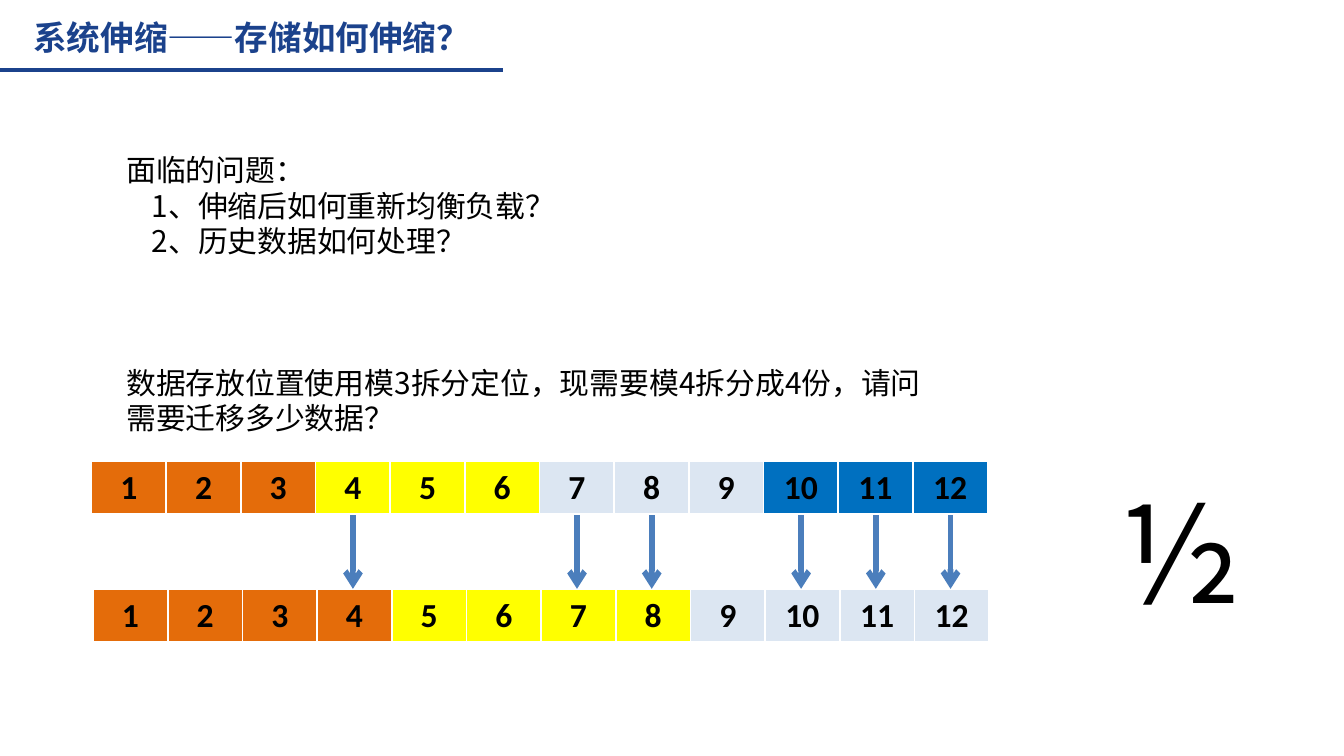
"""Build the slide on how storage scales when sharding moves from modulo 3 to modulo 4."""
import pptx
import pptx.dml.color
import pptx.enum.shapes
import pptx.enum.text
import pptx.oxml.ns
import pptx.util
from lxml import etree

Cm = pptx.util.Cm
Pt = pptx.util.Pt
RGBColor = pptx.dml.color.RGBColor
qn = pptx.oxml.ns.qn
PP_ALIGN = pptx.enum.text.PP_ALIGN
MSO_ANCHOR = pptx.enum.text.MSO_ANCHOR

NAVY = RGBColor(0x1B, 0x42, 0x8C)
BLACK = RGBColor(0x00, 0x00, 0x00)
WHITE = RGBColor(0xFF, 0xFF, 0xFF)
ARROW_BLUE = RGBColor(0x4B, 0x7E, 0xBC)
ORANGE = RGBColor(0xE4, 0x6C, 0x0A)
YELLOW = RGBColor(0xFF, 0xFF, 0x00)
PALE = RGBColor(0xDC, 0xE6, 0xF2)
BLUE = RGBColor(0x00, 0x70, 0xC0)

RECORDS = 12
ROW_LEFT, ROW_WIDTH, ROW_HEIGHT = 1.73, 16.94, 1.03
BEFORE_TOP, AFTER_TOP = 8.71, 11.13
MOVED_RECORDS = (4, 7, 8, 10, 11, 12)


class SlideBuilder:
    text_font = "Noto Sans CJK SC"
    cell_font = "Calibri"

    def __init__(self, slide):
        self.slide = slide

    def style(self, paragraph, font_name, size, color=BLACK, bold=False):
        font = paragraph.font
        font.name, font.size, font.bold = font_name, Pt(size), bold
        font.color.rgb = color
        properties = paragraph._p.pPr.find(qn("a:defRPr"))
        etree.SubElement(properties, qn("a:ea"), typeface=font_name)

    def text(self, left, top, width, height, lines, size, color=BLACK, bold=False,
             wrap=True, inset=None, align=None, anchor=MSO_ANCHOR.TOP, indent=0):
        box = self.slide.shapes.add_textbox(Cm(left), Cm(top), Cm(width), Cm(height))
        frame = box.text_frame
        frame.word_wrap = wrap
        frame.auto_size = pptx.enum.text.MSO_AUTO_SIZE.SHAPE_TO_FIT_TEXT
        frame.vertical_anchor = anchor
        if inset is not None:
            frame.margin_left = frame.margin_right = Cm(inset)
            frame.margin_top = frame.margin_bottom = Cm(inset)
        frame.text = "\n".join(lines)
        for number, paragraph in enumerate(frame.paragraphs):
            paragraph.alignment = align
            if indent and number:
                paragraph._p.get_or_add_pPr().set("marL", str(Cm(indent)))
            self.style(paragraph, self.text_font, size, color, bold)

    def line(self, start_x, start_y, end_x, end_y, color, width, arrow=False):
        connector = self.slide.shapes.add_connector(
            pptx.enum.shapes.MSO_CONNECTOR.STRAIGHT,
            Cm(start_x), Cm(start_y), Cm(end_x), Cm(end_y))
        connector.line.color.rgb = color
        connector.line.width = Pt(width)
        if arrow:
            etree.SubElement(connector.line._get_or_add_ln(), qn("a:tailEnd"), type="arrow")
        etree.SubElement(connector._element.spPr, qn("a:effectLst"))

    def border(self, cell):
        properties = cell._tc.get_or_add_tcPr()
        for side, width in (("L", 1), ("R", 1), ("T", 1), ("B", 3)):
            edge = etree.SubElement(properties, qn(f"a:ln{side}"), w=str(Pt(width)))
            fill = etree.SubElement(edge, qn("a:solidFill"))
            etree.SubElement(fill, qn("a:srgbClr"), val=str(WHITE))

    def record_row(self, left, top, shard_colors):
        table = self.slide.shapes.add_table(
            1, RECORDS, Cm(left), Cm(top), Cm(ROW_WIDTH), Cm(ROW_HEIGHT)).table
        table.first_row = table.horz_banding = False
        shard_size = RECORDS // len(shard_colors)
        for index in range(RECORDS):
            table.columns[index].width = Cm(ROW_WIDTH / RECORDS)
            cell = table.cell(0, index)
            self.border(cell)
            cell.fill.solid()
            cell.fill.fore_color.rgb = shard_colors[index // shard_size]
            cell.text = str(index + 1)
            paragraph = cell.text_frame.paragraphs[0]
            paragraph.alignment = PP_ALIGN.CENTER
            self.style(paragraph, self.cell_font, 18, bold=True)


def main():
    presentation = pptx.Presentation()
    presentation.slide_width, presentation.slide_height = Cm(25.4), Cm(14.29)
    builder = SlideBuilder(presentation.slides.add_slide(presentation.slide_layouts[6]))

    builder.text(0.53, 0.2, 12.14, 1, ["系统伸缩——存储如何伸缩？"], 18, NAVY, bold=True,
                 inset=0.1, align=PP_ALIGN.JUSTIFY, anchor=MSO_ANCHOR.MIDDLE)
    builder.line(0, 1.33, 9.5, 1.33, NAVY, 2.25)
    builder.text(2.14, 2.74, 8.95, 2.31,
                 ["面临的问题：", "1、伸缩后如何重新均衡负载？", "2、历史数据如何处理？"],
                 16, wrap=False, indent=0.48)
    builder.text(2.14, 6.76, 15.95, 1.63,
                 ["数据存放位置使用模3拆分定位，现需要模4拆分成4份，请问需要迁移多少数据？"], 16)

    builder.record_row(ROW_LEFT, BEFORE_TOP, (ORANGE, YELLOW, PALE, BLUE))
    builder.record_row(ROW_LEFT + 0.03, AFTER_TOP, (ORANGE, YELLOW, PALE))
    for record in MOVED_RECORDS:
        center = ROW_LEFT + (record - 0.5) * ROW_WIDTH / RECORDS
        builder.line(center, BEFORE_TOP + ROW_HEIGHT, center, AFTER_TOP,
                     ARROW_BLUE, 3, arrow=True)

    builder.text(20.9, 8.74, 2.21, 3.33, ["½"], 72)
    presentation.save("out.pptx")


if __name__ == "__main__":
    main()
